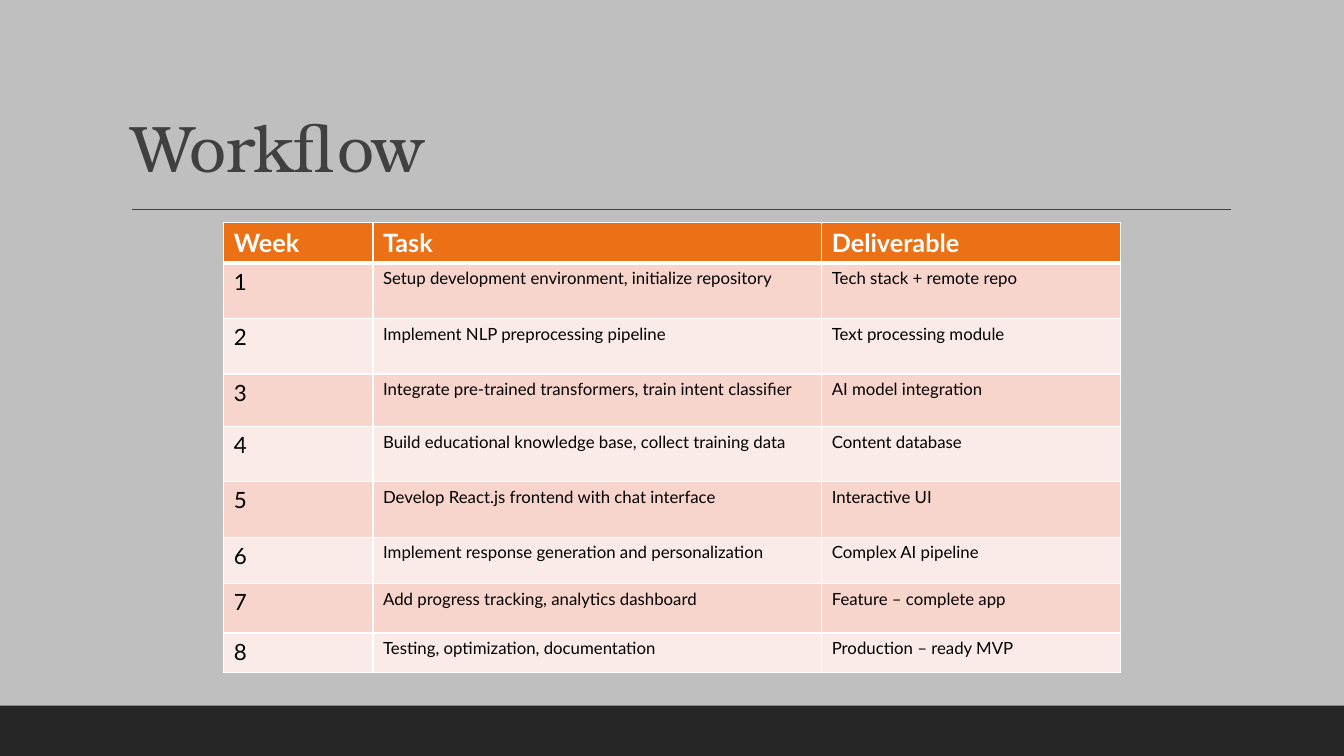
from dataclasses import dataclass

from lxml.etree import SubElement
from pptx import Presentation
from pptx.dml.color import RGBColor
from pptx.enum.shapes import MSO_CONNECTOR as Connector, MSO_SHAPE as Shape
from pptx.enum.text import MSO_ANCHOR as Anchor, PP_ALIGN as Align
from pptx.oxml.ns import qn
from pptx.util import Inches, Pt

BODY_FONT = "Lato"
TITLE_FONT = "TeX Gyre Bonum"
WHITE = "FFFFFF"
BLACK = "000000"
DARK_GREY = "404040"
HEADER_FILL = "EC7016"
BAND_FILLS = ("F8D5CC", "FBEBE8")
COLUMN_WIDTHS = (1.48, 4.45, 2.96)
HEADINGS = ("Week", "Task", "Deliverable")
HEADER_HEIGHT = 0.39


@dataclass
class Week:
    task: str
    deliverable: str
    height: float


WEEKS = [
    Week("Setup development environment, initialize repository", "Tech stack + remote repo", 0.55),
    Week("Implement NLP preprocessing pipeline", "Text processing module", 0.55),
    Week("Integrate pre-trained transformers, train intent classifier", "AI model integration", 0.52),
    Week("Build educational knowledge base, collect training data", "Content database", 0.55),
    Week("Develop React.js frontend with chat interface", "Interactive UI", 0.55),
    Week("Implement response generation and personalization", "Complex AI pipeline", 0.46),
    Week("Add progress tracking, analytics dashboard", "Feature – complete app", 0.49),
    Week("Testing, optimization, documentation", "Production – ready MVP", 0.39),
]


def colour(code: str) -> RGBColor:
    return RGBColor.from_string(code)


def format_text(para, font: str, size: float, code: str, bold: bool = False) -> None:
    for span in para.runs:
        span.font.name = font
        span.font.size = Pt(size)
        span.font.bold = bold
        span.font.color.rgb = colour(code)


def add_borders(cell, bottom: float) -> None:
    properties = cell._tc.get_or_add_tcPr()
    widths = {"a:lnL": 1, "a:lnR": 1, "a:lnT": 1, "a:lnB": bottom}
    for position, (tag, width) in enumerate(widths.items()):
        border = SubElement(properties, qn(tag), w=str(Pt(width)))
        fill = SubElement(border, qn("a:solidFill"))
        SubElement(fill, qn("a:srgbClr"), val=WHITE)
        properties.insert(position, border)


def fill_cell(cell, text: str, size: float, code: str, fill: str, header: bool = False) -> None:
    cell.text_frame.text = text
    format_text(cell.text_frame.paragraphs[0], BODY_FONT, size, code, header)
    cell.fill.solid()
    cell.fill.fore_color.rgb = colour(fill)
    add_borders(cell, 3 if header else 1)


def add_footer_band(page) -> None:
    band = page.shapes.add_shape(Shape.RECTANGLE, 0, Inches(7), Inches(13.33), Inches(0.5))
    band.shadow.inherit = False
    band.fill.solid()
    band.fill.fore_color.rgb = colour("262626")
    band.line.fill.background()


def add_title_rule(page) -> None:
    rule = page.shapes.add_connector(
        Connector.STRAIGHT, Inches(1.31), Inches(2.08), Inches(12.21), Inches(2.08)
    )
    rule.line.color.rgb = colour(DARK_GREY)
    rule.line.width = Pt(1)
    SubElement(rule._element.spPr, qn("a:effectLst"))


def set_title(page) -> None:
    title = page.shapes.title
    title.left, title.top = Inches(1.2), Inches(0.31)
    title.width, title.height = Inches(11), Inches(1.59)
    title.text_frame.text = "Workflow"
    title.text_frame.vertical_anchor = Anchor.BOTTOM
    para = title.text_frame.paragraphs[0]
    para.alignment = Align.LEFT
    para.line_spacing = 0.9
    format_text(para, TITLE_FONT, 47, DARK_GREY)
    para.runs[0].font._element.set("spc", "-50")


def add_schedule(page) -> None:
    heights = [HEADER_HEIGHT] + [week.height for week in WEEKS]
    schedule = page.shapes.add_table(
        len(heights), len(HEADINGS), Inches(2.22), Inches(2.21),
        Inches(sum(COLUMN_WIDTHS)), Inches(sum(heights)),
    ).table
    for column, width in zip(schedule.columns, COLUMN_WIDTHS):
        column.width = Inches(width)
    for row, height in zip(schedule.rows, heights):
        row.height = Inches(height)
    for column, heading in enumerate(HEADINGS):
        fill_cell(schedule.cell(0, column), heading, 18, WHITE, HEADER_FILL, header=True)
    for number, week in enumerate(WEEKS, start=1):
        fill = BAND_FILLS[(number - 1) % 2]
        for column, text in enumerate((str(number), week.task, week.deliverable)):
            size = 16 if column == 0 else 12
            fill_cell(schedule.cell(number, column), text, size, BLACK, fill)


def main() -> None:
    deck = Presentation()
    deck.slide_width, deck.slide_height = Inches(13.33), Inches(7.5)
    page = deck.slides.add_slide(deck.slide_layouts[5])
    page.background.fill.solid()
    page.background.fill.fore_color.rgb = colour("BFBFBF")
    add_footer_band(page)
    add_title_rule(page)
    set_title(page)
    add_schedule(page)
    deck.save("out.pptx")


if __name__ == "__main__":
    main()
